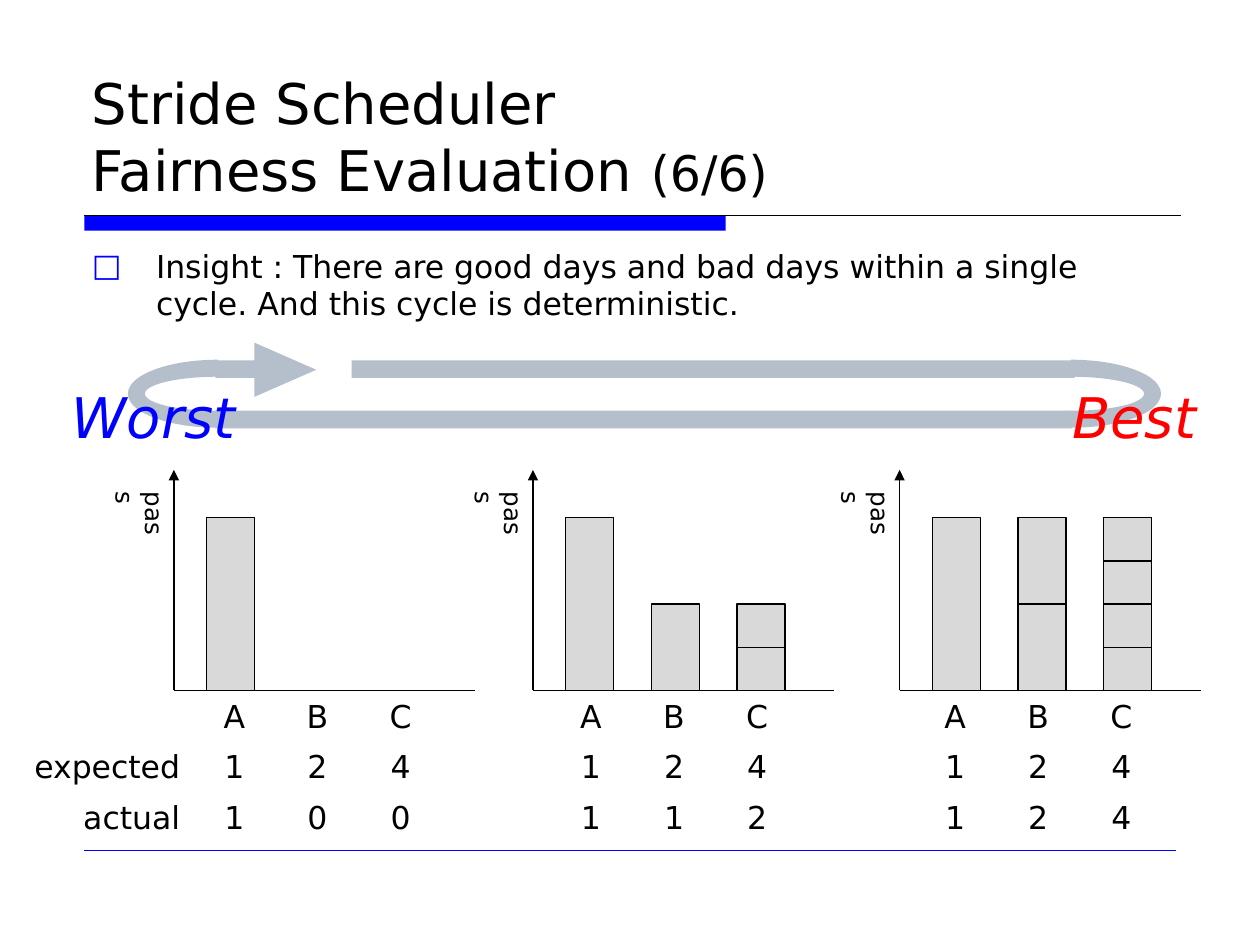
from lxml import etree
from pptx import Presentation
from pptx.dml.color import RGBColor
from pptx.enum import shapes, text
from pptx.oxml import ns
from pptx.util import Inches, Pt

FONT = "DejaVu Sans"
COLORS = {"black": "000000", "blue": "0000FF", "red": "FF0000",
          "bar": "D9D9D9", "loop": "B5BFCC"}
SHAPE = shapes.MSO_SHAPE
ALIGN = text.PP_ALIGN

TICKETS = (1, 2, 4)
BASE_Y, FULL_HEIGHT = 5.48, 1.37
BAR_WIDTH, BAR_PITCH, BAR_OFFSET = 0.38, 0.68, 0.26
LABEL_WIDTH, COL_WIDTH, ROW_HEIGHT = 1.53, 0.66, 0.39

# axis x, table x, allocations received by A, B and C
CHARTS = (
    (1.38, 0, (1, 0, 0)),
    (4.23, 2.83, (1, 1, 2)),
    (7.14, 7.25, (1, 2, 4)),
)


def rgb(name):
    return RGBColor.from_string(COLORS[name])


def add_sub(parent, tag, **attrs):
    return etree.SubElement(parent, ns.qn(tag), attrs)


def add_run(p, content, size, color="black", italic=False):
    r = p.add_run()
    r.text = content
    r.font.name = FONT
    r.font.size = Pt(size)
    r.font.bold = False
    r.font.italic = italic
    r.font.color.rgb = rgb(color)


def add_text(s, x, y, w, h, runs, wrap=True, anchor=text.MSO_ANCHOR.TOP):
    """Add a text box whose runs are (content, size, color, italic) tuples."""
    box = s.shapes.add_textbox(Inches(x), Inches(y), Inches(w), Inches(h))
    tf = box.text_frame
    tf.word_wrap = wrap
    tf.vertical_anchor = anchor
    for run in runs:
        add_run(tf.paragraphs[0], *run)
    return box


def add_box(s, kind, x, y, w, h, fill, line=None, rotation=0):
    sp = s.shapes.add_shape(kind, Inches(x), Inches(y), Inches(w), Inches(h))
    sp.shadow.inherit = False
    sp.rotation = rotation
    sp.fill.solid()
    sp.fill.fore_color.rgb = rgb(fill)
    if line:
        sp.line.color.rgb = rgb(line)
        sp.line.width = Pt(0.75)
    else:
        sp.line.fill.background()
    return sp


def add_line(s, x1, y1, x2, y2, color="black", width=0.75, arrow=False):
    line = s.shapes.add_connector(shapes.MSO_CONNECTOR.STRAIGHT, Inches(x1),
                                  Inches(y1), Inches(x2), Inches(y2))
    line.line.color.rgb = rgb(color)
    line.line.width = Pt(width)
    if arrow:
        add_sub(line.line._get_or_add_ln(), "a:tailEnd", type="triangle")
    add_sub(line._element.spPr, "a:effectLst")


def add_title(s):
    title = add_text(s, 0.63, 0.33, 8.75, 1.33, [("Stride Scheduler", 32)],
                     anchor=text.MSO_ANCHOR.BOTTOM)
    p = title.text_frame.paragraphs[0]
    p.add_line_break()
    add_run(p, "Fairness Evaluation ", 32)
    add_run(p, "(6/6)", 28)


def add_insight(s):
    box = add_text(s, 0.63, 1.92, 8.75, 0.73, [(
        "Insight : There are good days and bad days within a single cycle. "
        "And this cycle is deterministic.", 18)])
    p = box.text_frame.paragraphs[0]
    p.line_spacing = Pt(21)
    pPr = p._p.get_or_add_pPr()
    indent = Inches(0.51)
    pPr.set("marL", str(indent))
    pPr.set("indent", str(-indent))
    add_sub(add_sub(pPr, "a:buClr"), "a:srgbClr", val=COLORS["blue"])
    add_sub(pPr, "a:buFont", typeface=FONT)
    add_sub(pPr, "a:buChar", char="□")


def add_table(s, x, actual, label_column, labels):
    """Add the ticket table, with a leading label column if asked for."""
    rows = [("",) + tuple("ABC"), (labels[0],) + TICKETS, (labels[1],) + actual]
    widths = [LABEL_WIDTH] + [COL_WIDTH] * 3
    if not label_column:
        rows = [row[1:] for row in rows]
        widths = widths[1:]
    table = s.shapes.add_table(
        len(rows), len(widths), Inches(x), Inches(5.5),
        Inches(sum(widths)), Inches(ROW_HEIGHT * len(rows))).table
    for column, width in zip(table.columns, widths):
        column.width = Inches(width)
    for i, row in enumerate(rows):
        for j, value in enumerate(row):
            cell = table.cell(i, j)
            cell.fill.background()
            if value != "":
                p = cell.text_frame.paragraphs[0]
                is_label = label_column and j == 0
                p.alignment = ALIGN.RIGHT if is_label else ALIGN.CENTER
                add_run(p, str(value), 18)


def add_pass_chart(s, axis_x, actual):
    """Stack one bar segment of height 1/tickets per allocation received."""
    add_line(s, axis_x, BASE_Y, axis_x + 2.39, BASE_Y)
    add_line(s, axis_x, BASE_Y, axis_x, 3.73, arrow=True)
    add_text(s, axis_x - 0.42, 3.93, 0.56, 0.31, [("pass", 14)]).rotation = 90
    for i, (tickets, count) in enumerate(zip(TICKETS, actual)):
        height = FULL_HEIGHT / tickets
        for level in range(1, count + 1):
            add_box(s, SHAPE.RECTANGLE, axis_x + BAR_OFFSET + i * BAR_PITCH,
                    BASE_Y - level * height, BAR_WIDTH, height, "bar", "black")


def add_cycle(s):
    add_box(s, SHAPE.ISOSCELES_TRIANGLE, 2.05, 2.69, 0.43, 0.49, "loop",
            rotation=90)
    for x, rotation in ((8.23, 90), (1.46, 270)):
        add_box(s, SHAPE.BLOCK_ARC, x, 2.41, 0.54, 1.43, "loop",
                rotation=rotation)
    for x, y, w in ((1.71, 3.26, 6.8), (2.79, 2.86, 5.74), (1.71, 2.86, 0.6)):
        add_box(s, SHAPE.RECTANGLE, x, y, w, 0.14, "loop")


def main():
    prs = Presentation()
    prs.slide_width, prs.slide_height = Inches(10), Inches(7.5)
    s = prs.slides.add_slide(prs.slide_layouts[6])

    add_box(s, SHAPE.RECTANGLE, 0.67, 1.71, 5.09, 0.12, "blue")
    add_line(s, 0.67, 1.71, 9.37, 1.71)
    add_line(s, 0.67, 6.75, 9.33, 6.75, "blue", 0.25)
    add_title(s)
    add_insight(s)

    for i, (axis_x, table_x, actual) in enumerate(CHARTS):
        labels = ("expected", "actual") if i == 0 else ("", "")
        add_table(s, table_x, actual, i < 2, labels)
        add_pass_chart(s, axis_x, actual)

    add_cycle(s)
    add_text(s, 8.41, 2.99, 1.19, 0.64, [("Best", 32, "red", True)], wrap=False)
    add_text(s, 0.47, 2.99, 1.52, 0.64, [("Worst", 32, "blue", True)], wrap=False)
    prs.save("out.pptx")


if __name__ == "__main__":
    main()
